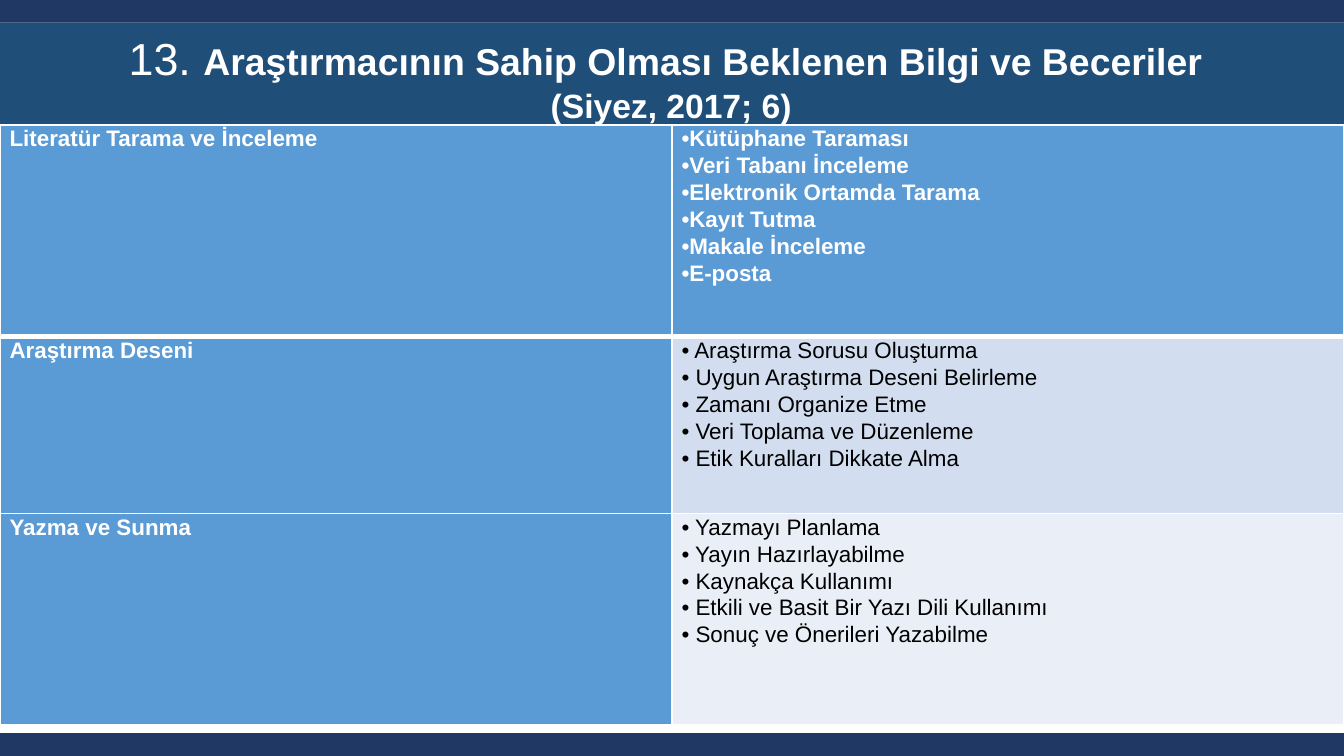
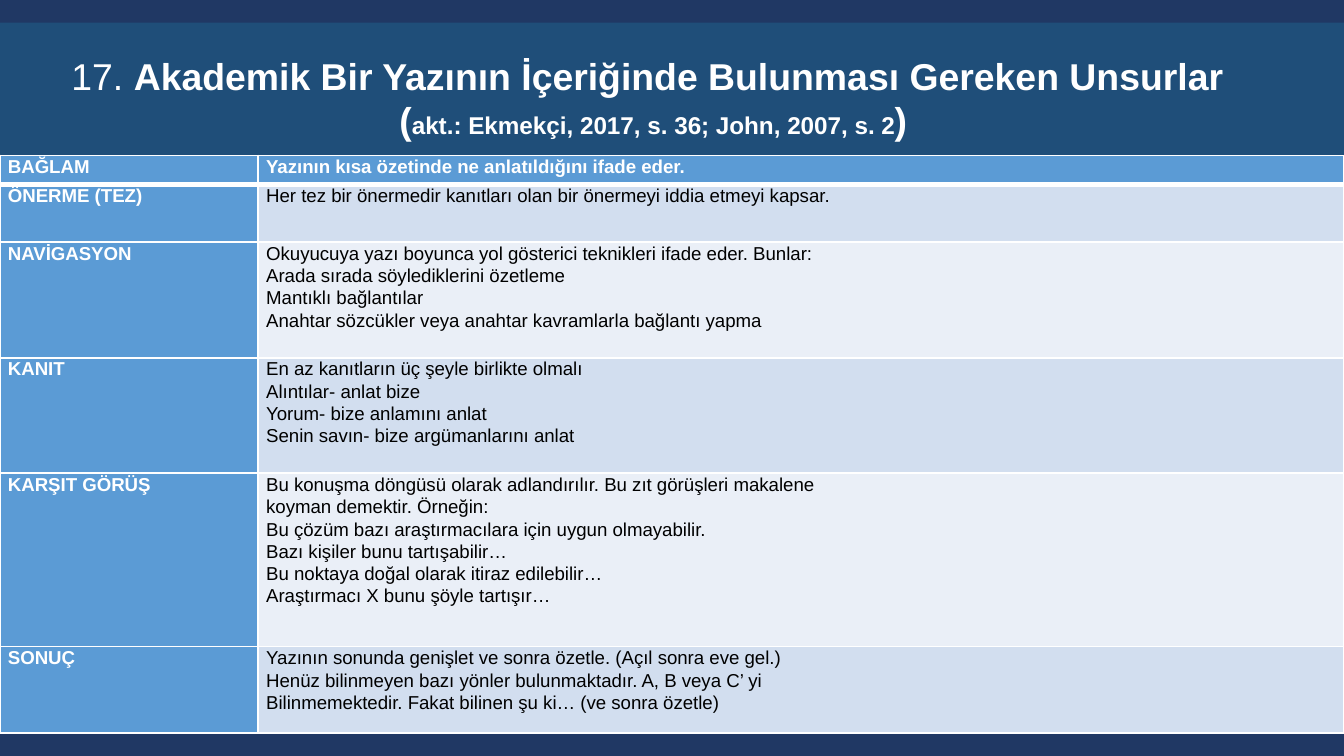
from dataclasses import dataclass

from lxml import etree
from pptx import Presentation
from pptx.dml.color import RGBColor
from pptx.enum.shapes import MSO_SHAPE
from pptx.enum.text import MSO_ANCHOR, MSO_AUTO_SIZE, PP_ALIGN
from pptx.oxml.ns import qn
from pptx.util import Cm, Pt

RECTANGLE = MSO_SHAPE.RECTANGLE
BOTTOM = MSO_ANCHOR.BOTTOM
TOP = MSO_ANCHOR.TOP
NO_AUTOFIT = MSO_AUTO_SIZE.NONE
CENTER = PP_ALIGN.CENTER
JUSTIFY = PP_ALIGN.JUSTIFY
TITLE_ONLY = 5


@dataclass(frozen=True)
class Theme:
    font: str = "Arial"
    white: str = "FFFFFF"
    black: str = "000000"
    edge: str = "203864"
    band: str = "1F4E79"
    header: str = "5B9BD5"
    stripes: tuple = ("EAEFF7", "D2DEEF")
    number_size: int = 24
    title_size: int = 20
    citation_size: int = 18
    small_citation_size: int = 13
    skills_size: int = 12
    elements_size: int = 10
    line_spacing: float = 1.07
    thin_border: int = 1
    thick_border: int = 3


THEME = Theme()
PAGE_WIDTH = 25.4
PAGE_HEIGHT = 14.29
EDGE_HEIGHT = 0.43

SKILLS = [
    ("Literatür Tarama ve İnceleme", [
        "•Kütüphane Taraması",
        "•Veri Tabanı İnceleme",
        "•Elektronik Ortamda Tarama",
        "•Kayıt Tutma",
        "•Makale İnceleme",
        "•E-posta",
    ]),
    ("Araştırma Deseni", [
        "• Araştırma Sorusu Oluşturma",
        "• Uygun Araştırma Deseni Belirleme",
        "• Zamanı Organize Etme",
        "• Veri Toplama ve Düzenleme",
        "• Etik Kuralları Dikkate Alma",
    ]),
    ("Yazma ve Sunma", [
        "• Yazmayı Planlama",
        "• Yayın Hazırlayabilme",
        "• Kaynakça Kullanımı",
        "• Etkili ve Basit Bir Yazı Dili Kullanımı",
        "• Sonuç ve Önerileri Yazabilme",
    ]),
]

ELEMENTS = [
    ("BAĞLAM", ["Yazının kısa özetinde ne anlatıldığını ifade eder."]),
    ("ÖNERME (TEZ)", [
        "Her tez bir önermedir kanıtları olan bir önermeyi iddia etmeyi kapsar.",
    ]),
    ("NAVİGASYON", [
        "Okuyucuya yazı boyunca yol gösterici teknikleri ifade eder. Bunlar:",
        "Arada sırada söylediklerini özetleme",
        "Mantıklı bağlantılar",
        "Anahtar sözcükler veya anahtar kavramlarla bağlantı yapma",
    ]),
    ("KANIT", [
        "En az kanıtların üç şeyle birlikte olmalı",
        "Alıntılar- anlat bize",
        "Yorum- bize anlamını anlat",
        "Senin savın- bize argümanlarını anlat",
    ]),
    ("KARŞIT GÖRÜŞ", [
        "Bu konuşma döngüsü olarak adlandırılır. Bu zıt görüşleri makalene",
        "koyman demektir. Örneğin:",
        "Bu çözüm bazı araştırmacılara için uygun olmayabilir.",
        "Bazı kişiler bunu tartışabilir…",
        "Bu noktaya doğal olarak itiraz edilebilir…",
        "Araştırmacı X bunu şöyle tartışır…",
    ]),
    ("SONUÇ", [
        "Yazının sonunda genişlet ve sonra özetle. (Açıl sonra eve gel.)",
        "Henüz bilinmeyen bazı yönler bulunmaktadır. A, B veya C’ yi",
        "Bilinmemektedir. Fakat bilinen şu ki… (ve sonra özetle)",
    ]),
]


def apply_format(target, values):
    for name, value in values.items():
        setattr(target, name, value)


def color(code):
    return RGBColor.from_string(code)


def add_span(para, text, size, bold, text_color):
    span = para.add_run()
    span.text = text
    apply_format(span.font, {"name": THEME.font, "size": Pt(size), "bold": bold})
    span.font.color.rgb = color(text_color)


def fill_paragraphs(frame, paragraphs, values):
    for index, spans in enumerate(paragraphs):
        para = frame.add_paragraph() if index else frame.paragraphs[0]
        apply_format(para, values)
        for span in spans:
            add_span(para, *span)


def add_bar(page, top, height, fill):
    bar = page.shapes.add_shape(RECTANGLE, 0, Cm(top), Cm(PAGE_WIDTH), Cm(height))
    bar.shadow.inherit = False
    bar.fill.solid()
    bar.fill.fore_color.rgb = color(fill)
    bar.line.fill.background()
    return bar


def add_title(page, place, lines):
    title = page.shapes.title
    names = ("left", "top", "width", "height")
    apply_format(title, dict(zip(names, map(Cm, place))))
    apply_format(title.text_frame, {
        "word_wrap": True,
        "auto_size": NO_AUTOFIT,
        "vertical_anchor": BOTTOM,
    })
    paragraphs = [[(*span, THEME.white) for span in line] for line in lines]
    fill_paragraphs(title.text_frame, paragraphs, {"alignment": CENTER})


def add_page(deck, band_top, band_bottom, title_place, title_lines):
    page = deck.slides.add_slide(deck.slide_layouts[TITLE_ONLY])
    add_title(page, title_place, title_lines)
    band = add_bar(page, band_top, band_bottom - band_top, THEME.band)
    page.shapes.title.element.addprevious(band.element)
    for top in (0, PAGE_HEIGHT - EDGE_HEIGHT):
        add_bar(page, top, EDGE_HEIGHT, THEME.edge)
    return page


def set_borders(cell, row):
    properties = cell._tc.get_or_add_tcPr()
    widths = {side: THEME.thin_border for side in ("lnL", "lnR", "lnT", "lnB")}
    if row == 0:
        widths["lnB"] = THEME.thick_border
    elif row == 1:
        widths["lnT"] = THEME.thick_border
    for side, width in widths.items():
        line = etree.SubElement(properties, qn(f"a:{side}"), w=str(Pt(width)))
        fill = etree.SubElement(line, qn("a:solidFill"))
        etree.SubElement(fill, qn("a:srgbClr"), val=THEME.white)


def fill_cell(cell, row, lines, is_header, size, margin):
    set_borders(cell, row)
    cell.fill.solid()
    fill = THEME.header if is_header else THEME.stripes[row % 2]
    cell.fill.fore_color.rgb = color(fill)
    apply_format(cell, {
        "margin_left": Cm(margin),
        "margin_right": Cm(margin),
        "margin_top": 0,
        "margin_bottom": 0,
        "vertical_anchor": TOP,
    })
    text_color = THEME.white if is_header else THEME.black
    paragraphs = [[(line, size, is_header, text_color)] for line in lines]
    values = {"alignment": JUSTIFY, "line_spacing": THEME.line_spacing}
    fill_paragraphs(cell.text_frame, paragraphs, values)


def add_topic_table(page, topics, top, height, label_width, weights, size, margin):
    table = page.shapes.add_table(
        len(topics), 2, 0, Cm(top), Cm(PAGE_WIDTH), Cm(height)
    ).table
    table.first_col = True
    for column, width in zip(table.columns, (label_width, PAGE_WIDTH - label_width)):
        column.width = Cm(width)
    for row, (weight, (label, lines)) in enumerate(zip(weights, topics)):
        table.rows[row].height = Cm(height * weight / sum(weights))
        fill_cell(table.cell(row, 0), row, [label], True, size, margin)
        fill_cell(table.cell(row, 1), row, lines, row == 0, size, margin)


def add_skills_page(deck):
    band_bottom = 2.36
    page = add_page(deck, EDGE_HEIGHT, band_bottom, (0.71, 0.43, 23.95, 2.06), [
        [
            ("13. ", THEME.number_size, False),
            ("Araştırmacının Sahip Olması Beklenen Bilgi ve Beceriler ",
             THEME.title_size, True),
        ],
        [("(Siyez, 2017; 6)", THEME.citation_size, True)],
    ])
    add_topic_table(page, SKILLS, band_bottom, 11.35, PAGE_WIDTH / 2,
                    (6, 5, 6), THEME.skills_size, 0.18)


def add_elements_page(deck):
    band_bottom = 2.94
    page = add_page(deck, 0, band_bottom, (0, 0, 24.69, 2.82), [
        [
            ("17. ", THEME.title_size, False),
            ("Akademik Bir Yazının İçeriğinde Bulunması Gereken Unsurlar ",
             THEME.title_size, True),
        ],
        [
            ("(", THEME.title_size, True),
            ("akt.: Ekmekçi, 2017, s. 36; John, 2007, s. 2",
             THEME.small_citation_size, True),
            (")", THEME.title_size, True),
        ],
    ])
    add_topic_table(page, ELEMENTS, band_bottom, 10.92, 4.88,
                    (1, 2, 4, 4, 6, 3), THEME.elements_size, 0.15)


def main():
    deck = Presentation()
    deck.slide_width = Cm(PAGE_WIDTH)
    deck.slide_height = Cm(PAGE_HEIGHT)
    add_skills_page(deck)
    add_elements_page(deck)
    deck.save("out.pptx")


if __name__ == "__main__":
    main()
